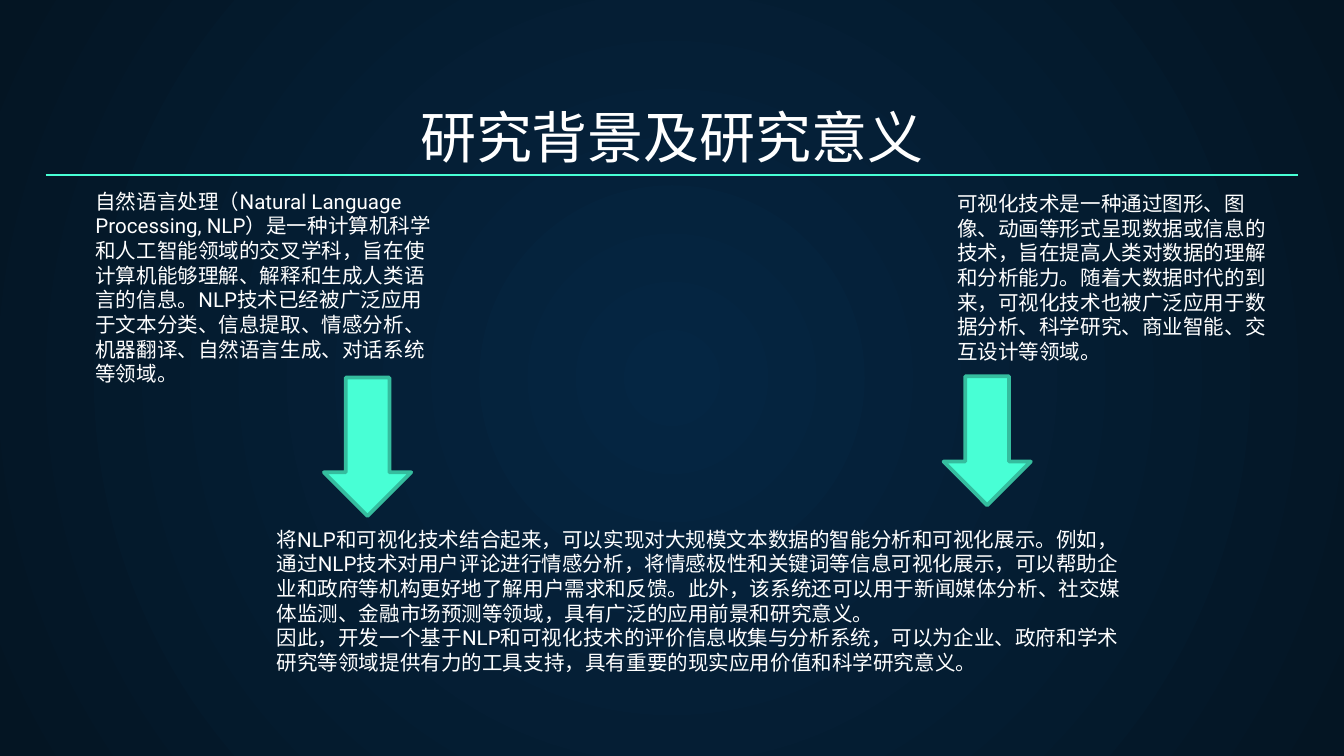
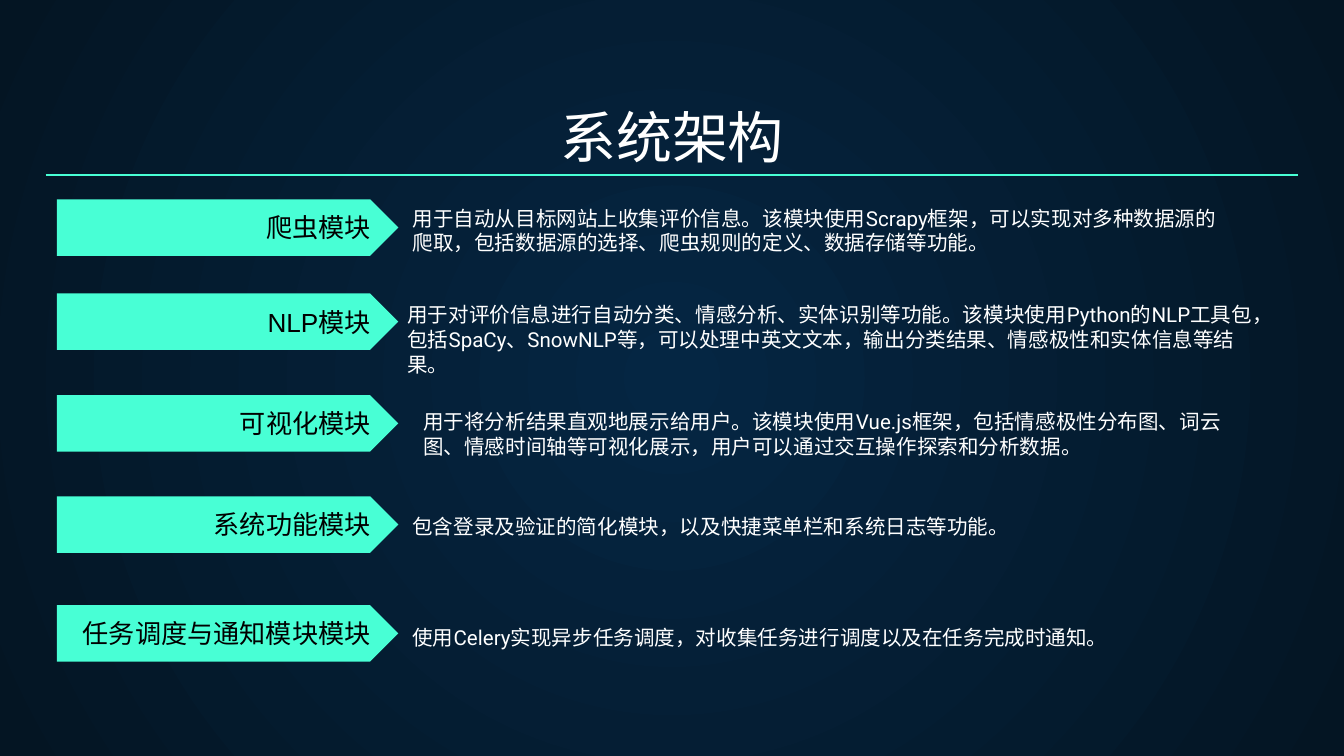
from lxml.etree import SubElement
from pptx import Presentation
from pptx.dml.color import RGBColor
from pptx.enum.shapes import MSO_CONNECTOR as Connector, MSO_SHAPE as Shape
from pptx.enum.text import MSO_ANCHOR as Anchor, MSO_AUTO_SIZE as AutoSize, PP_ALIGN as Align
from pptx.oxml.ns import qn
from pptx.util import Inches, Pt

# Palette and fonts
NAVY = RGBColor(0x05, 0x26, 0x43)
MIDNIGHT = RGBColor(0x04, 0x15, 0x23)
MINT = RGBColor(0x48, 0xFF, 0xD5)
DEEP_MINT = RGBColor(0x35, 0xBD, 0x9E)
WHITE = RGBColor(0xFF, 0xFF, 0xFF)
BLACK = RGBColor(0x00, 0x00, 0x00)
TEXT_FONT = "Roboto"
LABEL_FONT = "Arial"

# Grid: 100 columns and 56.25 rows of a tenth of an inch
COLUMNS, ROWS = 100, 56.25
MARGIN = 3.4
RULE_ROW = 13.03
PADDING = Inches(0.1)

# Slide 1: column, row, width, height, paragraphs
BACKGROUND_TEXTS = [
    (6.1, 13.03, 27.8, 15.6, [
        "自然语言处理（Natural Language Processing, NLP）是一种计算机科学和人工智能领域的交叉学科，"
        "旨在使计算机能够理解、解释和生成人类语言的信息。NLP技术已经被广泛应用于文本分类、信息提取、"
        "情感分析、机器翻译、自然语言生成、对话系统等领域。"]),
    (70.23, 13.2, 26.4, 14.9, [
        "可视化技术是一种通过图形、图像、动画等形式呈现数据或信息的技术，旨在提高人类对数据的理解和"
        "分析能力。随着大数据时代的到来，可视化技术也被广泛应用于数据分析、科学研究、商业智能、"
        "交互设计等领域。"]),
    (19.6, 38.2, 65.8, 12.4, [
        "将NLP和可视化技术结合起来，可以实现对大规模文本数据的智能分析和可视化展示。例如，通过NLP技术"
        "对用户评论进行情感分析，将情感极性和关键词等信息可视化展示，可以帮助企业和政府等机构更好地"
        "了解用户需求和反馈。此外，该系统还可以用于新闻媒体分析、社交媒体监测、金融市场预测等领域，"
        "具有广泛的应用前景和研究意义。",
        "因此，开发一个基于NLP和可视化技术的评价信息收集与分析系统，可以为企业、政府和学术研究等领域"
        "提供有力的工具支持，具有重要的现实应用价值和科学研究意义。"]),
]
ARROWS = [(24.1, 28.1, 6.5, 10.3), (70.2, 28, 6.5, 9.6)]

# Slide 2: label, label row, then column, row, width, height and text of the description
MODULES = [
    ("爬虫模块", 14.83, (29.7, 14.3, 62.7, 5.5),
     "用于自动从目标网站上收集评价信息。该模块使用Scrapy框架，可以实现对多种数据源的爬取，"
     "包括数据源的选择、爬虫规则的定义、数据存储等功能。"),
    ("NLP模块", 21.83, (29.33, 21.5, 66.4, 7.4),
     "用于对评价信息进行自动分类、情感分析、实体识别等功能。该模块使用Python的NLP工具包，"
     "包括SpaCy、SnowNLP等，可以处理中英文文本，输出分类结果、情感极性和实体信息等结果。"),
    ("可视化模块", 29.4, (30.5, 29.43, 64.2, 6.1),
     "用于将分析结果直观地展示给用户。该模块使用Vue.js框架，包括情感极性分布图、词云图、"
     "情感时间轴等可视化展示，用户可以通过交互操作探索和分析数据。"),
    ("系统功能模块", 36.93, (29.7, 37.23, 63.3, 6.1),
     "包含登录及验证的简化模块，以及快捷菜单栏和系统日志等功能。"),
    ("任务调度与通知模块模块", 45.03, (29.7, 45.5, 61.6, 6.1),
     "使用Celery实现异步任务调度，对收集任务进行调度以及在任务完成时通知。"),
]


def cells(*counts):
    """Turn grid counts into lengths."""
    return [Inches(count / 10) for count in counts]


def write(holder, paragraphs, size, font=TEXT_FONT, color=WHITE,
          align=Align.LEFT, anchor=Anchor.TOP):
    frame = holder.text_frame
    frame.word_wrap = True
    frame.auto_size = AutoSize.NONE
    frame.vertical_anchor = anchor
    frame.margin_left = frame.margin_right = PADDING
    frame.margin_top = frame.margin_bottom = PADDING
    for index, text in enumerate(paragraphs):
        paragraph = frame.add_paragraph() if index else frame.paragraphs[0]
        paragraph.alignment = align
        paragraph.space_before = paragraph.space_after = Pt(0)
        run = paragraph.add_run()
        run.text = text
        run.font.size = Pt(size)
        run.font.color.rgb = color
        run.font.name = font
    # Keep punctuation inside the right edge
    for properties in holder.element.iter(qn("a:pPr")):
        properties.set("hangingPunct", "0")


def move(holder, area):
    holder.left, holder.top, holder.width, holder.height = cells(*area)


def paint_background(master):
    """Radial glow shared by all slides."""
    fill = master.background.fill
    fill.gradient()
    for stop, position, color in zip(fill.gradient_stops, (0, 1), (NAVY, MIDNIGHT)):
        stop.position = position
        stop.color.rgb = color
    gradient = master.element.find(".//" + qn("a:gradFill"))
    gradient.remove(gradient.find(qn("a:lin")))
    glow = SubElement(gradient, qn("a:path"), path="circle")
    SubElement(glow, qn("a:fillToRect"), l="50000", t="50000", r="50000", b="50000")


def add_titled_slide(deck, title):
    """Slide with its title and the rule below it."""
    slide = deck.slides.add_slide(deck.slide_layouts[0])
    move(slide.shapes.title, (MARGIN, 7.05, COLUMNS - 2 * MARGIN, 6.6))
    write(slide.shapes.title, [title], 30, align=Align.CENTER, anchor=Anchor.BOTTOM)
    rule = slide.shapes.add_connector(
        Connector.STRAIGHT, *cells(MARGIN, RULE_ROW, COLUMNS - MARGIN, RULE_ROW))
    rule.line.color.rgb = MINT
    rule.line.width = Pt(0.75)
    SubElement(rule.element.spPr, qn("a:effectLst"))
    return slide


def add_lead_text(slide, area, paragraphs):
    """First description, in the body placeholder."""
    body = slide.placeholders[1]
    move(body, area)
    write(body, paragraphs, 11)


def add_text(slide, area, paragraphs):
    write(slide.shapes.add_textbox(*cells(*area)), paragraphs, 11)


def add_mint_shape(slide, kind, area):
    shape = slide.shapes.add_shape(kind, *cells(*area))
    shape.shadow.inherit = False
    shape.fill.solid()
    shape.fill.fore_color.rgb = MINT
    shape.line.fill.background()
    return shape


def add_down_arrow(slide, area):
    arrow = add_mint_shape(slide, Shape.DOWN_ARROW, area)
    arrow.line.color.rgb = DEEP_MINT
    arrow.line.width = Pt(2)


def add_module_label(slide, row, label):
    tag = add_mint_shape(slide, Shape.PENTAGON, (4.24, row, 25.4, 4.2))
    write(tag, [label], 14, LABEL_FONT, BLACK, Align.RIGHT, Anchor.MIDDLE)


def build_background_slide(deck):
    slide = add_titled_slide(deck, "研究背景及研究意义")
    for index, (*area, paragraphs) in enumerate(BACKGROUND_TEXTS):
        place = add_text if index else add_lead_text
        place(slide, area, paragraphs)
    for area in ARROWS:
        add_down_arrow(slide, area)


def build_architecture_slide(deck):
    slide = add_titled_slide(deck, "系统架构")
    for index, (label, row, area, description) in enumerate(MODULES):
        place = add_text if index else add_lead_text
        place(slide, area, [description])
        add_module_label(slide, row, label)


def main():
    deck = Presentation()
    deck.slide_width, deck.slide_height = cells(COLUMNS, ROWS)
    paint_background(deck.slide_master)
    build_background_slide(deck)
    build_architecture_slide(deck)
    deck.save("out.pptx")


if __name__ == "__main__":
    main()
